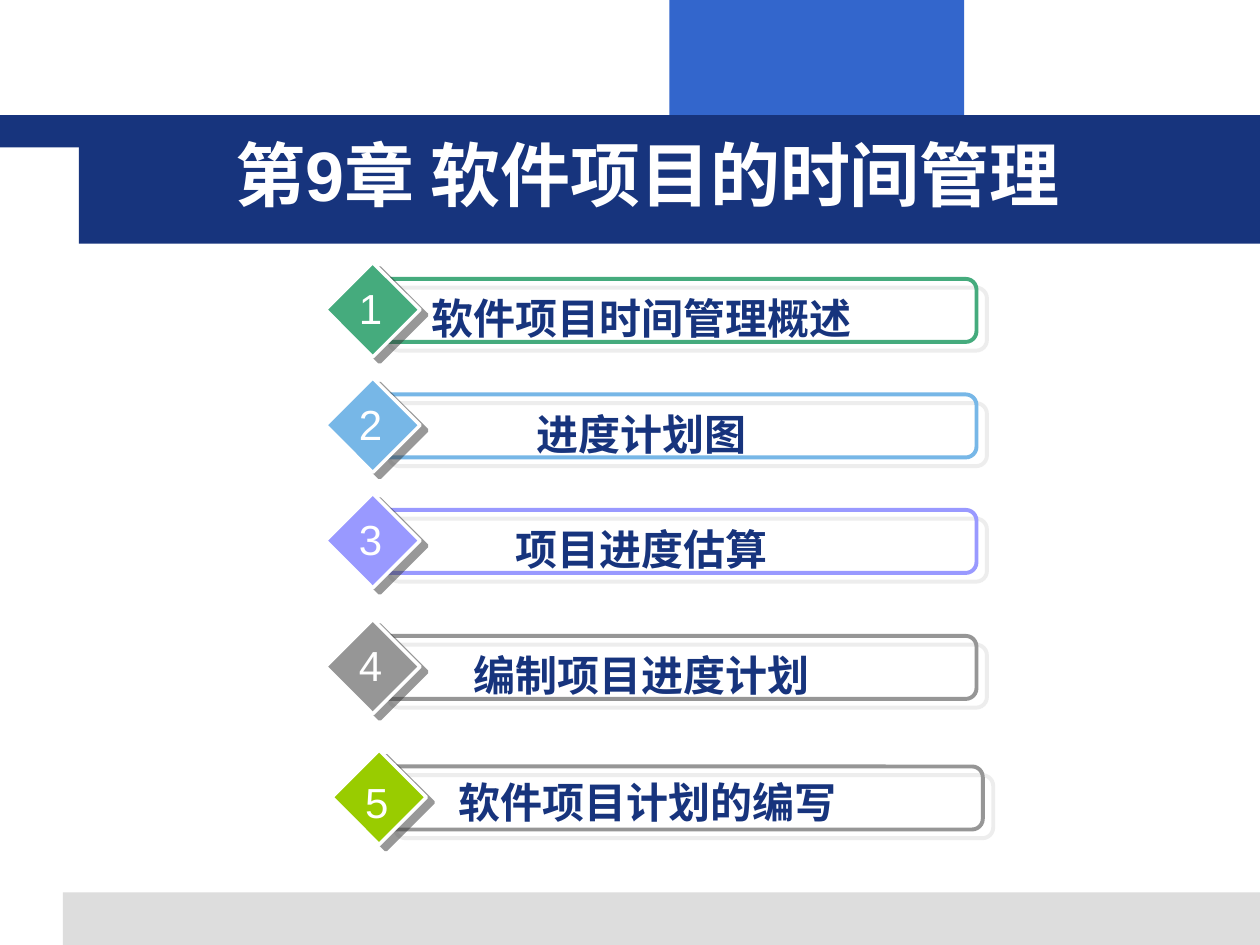
from lxml.etree import SubElement
from pptx import Presentation
from pptx.dml.color import RGBColor
from pptx.enum.shapes import MSO_SHAPE
from pptx.enum.text import MSO_ANCHOR, MSO_AUTO_SIZE, PP_ALIGN
from pptx.oxml.ns import qn
from pptx.util import Pt

NAVY, BLUE, PALE, WHITE, GREY = "17347D", "3366CC", "DDDDDD", "FFFFFF", "969696"
FRAME = {"word_wrap": True, "auto_size": MSO_AUTO_SIZE.SHAPE_TO_FIT_TEXT,
         "vertical_anchor": MSO_ANCHOR.TOP, "margin_left": Pt(7.2),
         "margin_right": Pt(7.2), "margin_top": Pt(3.6), "margin_bottom": Pt(3.6)}
FONT = {"name": "Arial", "size": Pt(24), "bold": True}
TITLE = "第9章 软件项目的时间管理"
TOPICS = [
    ("软件项目时间管理概述", "45AB7D", GREY and "45AB7D", 186, 150, 13.7, 7.9),
    ("进度计划图", "77B7E7", "77B7E7", 186, 216, 13.7, 7.9),
    ("项目进度估算", "9999FF", "9999FF", 186, 282, 13.7, 7.9),
    ("编制项目进度计划", GREY, GREY, 186, 354, 13.7, 7.9),
    ("软件项目计划的编写", "99CC00", GREY, 189.6, 428.6, 11.5, 11.5),
]


def paint(target, tint):
    """Give a fill or a font a solid colour."""
    if hasattr(target, "solid"):
        target.solid()
        target = target.fore_color
    else:
        target = target.color
    target.rgb = RGBColor.from_string(tint)


def apply(target, values):
    """Set each named attribute on the target."""
    for name, value in values.items():
        setattr(target, name, value)


def place(shapes, kind, box, fill=None, line=None, width=0):
    """Add a preset shape with its fill and line."""
    shape = shapes.add_shape(kind, *map(Pt, box))
    shape.shadow.inherit = False
    if fill:
        paint(shape.fill, fill)
    else:
        shape.fill.background()
    if line:
        paint(shape.line.fill, line)
        shape.line.width = Pt(width)
    else:
        shape.line.fill.background()
    return shape


def shade(shape, tint, dist, angle):
    """Add a half-transparent hard shadow to a shape."""
    effects = shape._element.spPr.find(qn("a:effectLst"))
    cast = SubElement(effects, qn("a:outerShdw"), blurRad="0", dist=str(Pt(dist)),
                      dir=str(angle * 60000), algn="ctr", rotWithShape="0")
    color = SubElement(cast, qn("a:srgbClr"), val=tint)
    SubElement(color, qn("a:alpha"), val="50000")


def write(shape, text, tint, align, frame=None, font=None):
    """Put one formatted line of text in a shape."""
    apply(shape.text_frame, {**FRAME, **(frame or {})})
    line = shape.text_frame.paragraphs[0]
    line.alignment = align
    run = line.add_run()
    run.text = text
    apply(run.font, {**FONT, **(font or {})})
    paint(run.font, tint)


def draw_frame(slide, width, height):
    """Draw the top blocks, the banner and the footer strip."""
    for box, tint in [((382.5, 0, 168.5, 66), BLUE),
                      ((36, height - 30, width - 36, 30), PALE),
                      ((0, 65.8, width, 18.5), NAVY),
                      ((45, 65.8, width - 45, 73.5), NAVY)]:
        place(slide.shapes, MSO_SHAPE.RECTANGLE, box, tint)


def draw_title(slide, box):
    """Place the title placeholder in front of the banner."""
    title = slide.shapes.title
    apply(title, dict(zip(("left", "top", "width", "height"), map(Pt, box))))
    write(title, TITLE, WHITE, PP_ALIGN.LEFT, font={"size": Pt(40)})
    slide.shapes._spTree.append(title._element)


def draw_topic(slide, number, topic):
    """Draw one numbered diamond with its bar and label."""
    text, tint, edge, left, top, drop, dip = topic
    shapes = slide.shapes.add_group_shape().shapes
    bar = place(shapes, MSO_SHAPE.ROUNDED_RECTANGLE,
                (left + 30, top + 9.4, 342, 36), line=edge, width=2.25)
    bar.adjustments[0] = 0.17
    shade(bar, PALE, 7.8, 40)
    gem = place(shapes, MSO_SHAPE.DIAMOND, (left, top, 54, 54), tint, WHITE, 2)
    shade(gem, "333333", 5, 37)
    label = shapes.add_textbox(*map(Pt, (left + 48, top + drop, 270, 36)))
    write(label, text, NAVY, PP_ALIGN.CENTER, {"margin_right": Pt(12)})
    digit = shapes.add_textbox(*map(Pt, (left + 12, top + dip, 27, 36)))
    write(digit, str(number), WHITE, PP_ALIGN.CENTER,
          {"word_wrap": False}, {"bold": False})


def main():
    """Build and save the chapter contents slide."""
    deck = Presentation()
    deck.slide_width, deck.slide_height = Pt(720), Pt(540)
    slide = deck.slides.add_slide(deck.slide_layouts.get_by_name("Title Only"))
    draw_frame(slide, 720, 540)
    draw_title(slide, (127.5, 71.3, 510.5, 55.5))
    for number, topic in enumerate(TOPICS, 1):
        draw_topic(slide, number, topic)
    deck.save("out.pptx")


if __name__ == "__main__":
    main()
